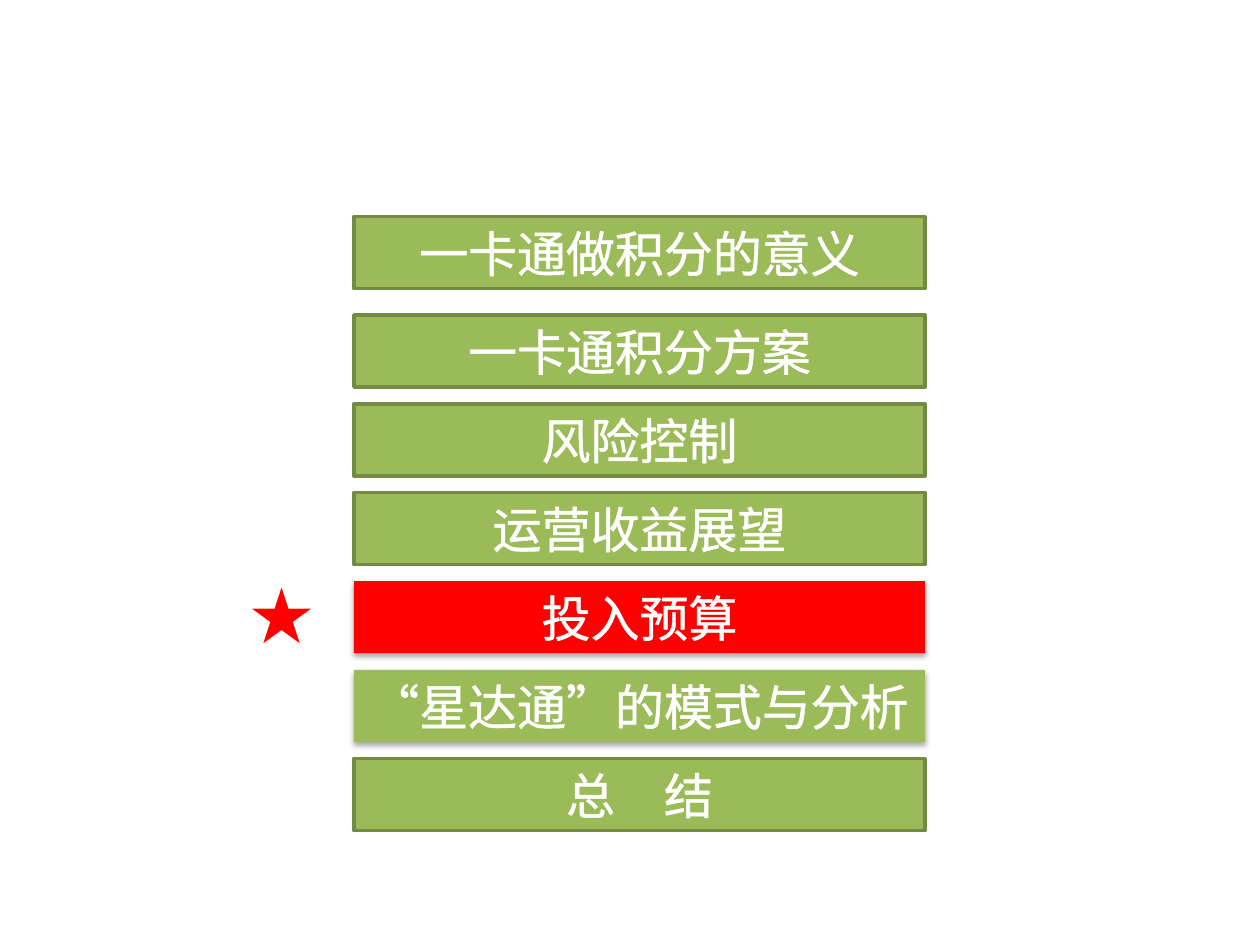
from lxml.etree import SubElement
from pptx import Presentation
from pptx.dml.color import RGBColor
from pptx.enum.shapes import MSO_SHAPE
from pptx.enum.text import MSO_ANCHOR, MSO_AUTO_SIZE, PP_ALIGN
from pptx.oxml import parse_xml
from pptx.oxml.ns import nsdecls, qn
from pptx.util import Pt

WHITE, GREEN, DARK_GREEN, RED = "FFFFFF", "9BBB59", "738A42", "FF0000"
BAR_LEFT, BAR_WIDTH, BAR_HEIGHT = 202.3, 326.2, 41.2
FIRST_TOP, SECOND_TOP, BAR_STEP = 123.8, 180, 50.7
AGENDA = [
    ("一卡通做积分的意义", GREEN, DARK_GREEN),
    ("一卡通积分方案", GREEN, DARK_GREEN),
    ("风险控制", GREEN, DARK_GREEN),
    ("运营收益展望", GREEN, DARK_GREEN),
    ("投入预算", RED, None),
    ("“星达通”的模式与分析", GREEN, None),
    ("总　结", GREEN, DARK_GREEN),
]


def color(value):
    return RGBColor.from_string(value)


class AgendaSlide:
    """Holds the text style and the slide, and draws agenda elements on it."""

    def __init__(self, slide, font_name="Calibri"):
        self.slide = slide
        self.font_name = font_name

    def set_text(self, shape, text, size, text_color, alignment):
        frame = shape.text_frame
        frame.word_wrap = True
        frame.auto_size = MSO_AUTO_SIZE.SHAPE_TO_FIT_TEXT
        paragraph = frame.paragraphs[0]
        paragraph.text = text
        paragraph.alignment = alignment
        font = paragraph.font
        font.name = self.font_name
        font.size = Pt(size)
        font.color.rgb = color(text_color)
        return paragraph

    def outline_text(self, paragraph, line_color, width):
        outline = parse_xml(
            f'<a:ln {nsdecls("a")} w="{Pt(width)}"><a:solidFill>'
            f'<a:srgbClr val="{line_color}"/></a:solidFill></a:ln>'
        )
        paragraph._p.pPr.find(qn("a:defRPr")).insert(0, outline)

    def cast_shadow(self, shape):
        effects = shape._element.spPr.find(qn("a:effectLst"))
        shadow = SubElement(
            effects, qn("a:outerShdw"), blurRad=str(Pt(3.1)),
            dist=str(Pt(1.8)), dir="5400000", rotWithShape="0",
        )
        shade = SubElement(shadow, qn("a:srgbClr"), val="000000")
        SubElement(shade, qn("a:alpha"), val="35000")

    def bar(self, text, top, fill, line):
        shape = self.slide.shapes.add_shape(
            MSO_SHAPE.RECTANGLE, Pt(BAR_LEFT), Pt(top), Pt(BAR_WIDTH), Pt(BAR_HEIGHT)
        )
        shape.shadow.inherit = False
        shape.fill.solid()
        shape.fill.fore_color.rgb = color(fill)
        if line:
            shape.line.color.rgb = color(line)
            shape.line.width = Pt(2)
        else:
            shape.line.fill.background()
            self.cast_shadow(shape)
        shape.text_frame.vertical_anchor = MSO_ANCHOR.MIDDLE
        paragraph = self.set_text(shape, text, 28, WHITE, PP_ALIGN.CENTER)
        self.outline_text(paragraph, WHITE, 1.45)

    def marker(self, text, left, top, width, height):
        box = self.slide.shapes.add_textbox(Pt(left), Pt(top), Pt(width), Pt(height))
        self.set_text(box, text, 44, RED, PP_ALIGN.LEFT)


def main():
    presentation = Presentation()
    presentation.slide_width = Pt(720)
    presentation.slide_height = Pt(540)
    agenda = AgendaSlide(presentation.slides.add_slide(presentation.slide_layouts[6]))
    for index, (text, fill, line) in enumerate(AGENDA):
        top = SECOND_TOP + (index - 1) * BAR_STEP if index else FIRST_TOP
        agenda.bar(text, top, fill, line)
    agenda.marker("★", 134.6, 320.4, 33.8, 60.5)
    presentation.save("out.pptx")


if __name__ == "__main__":
    main()
